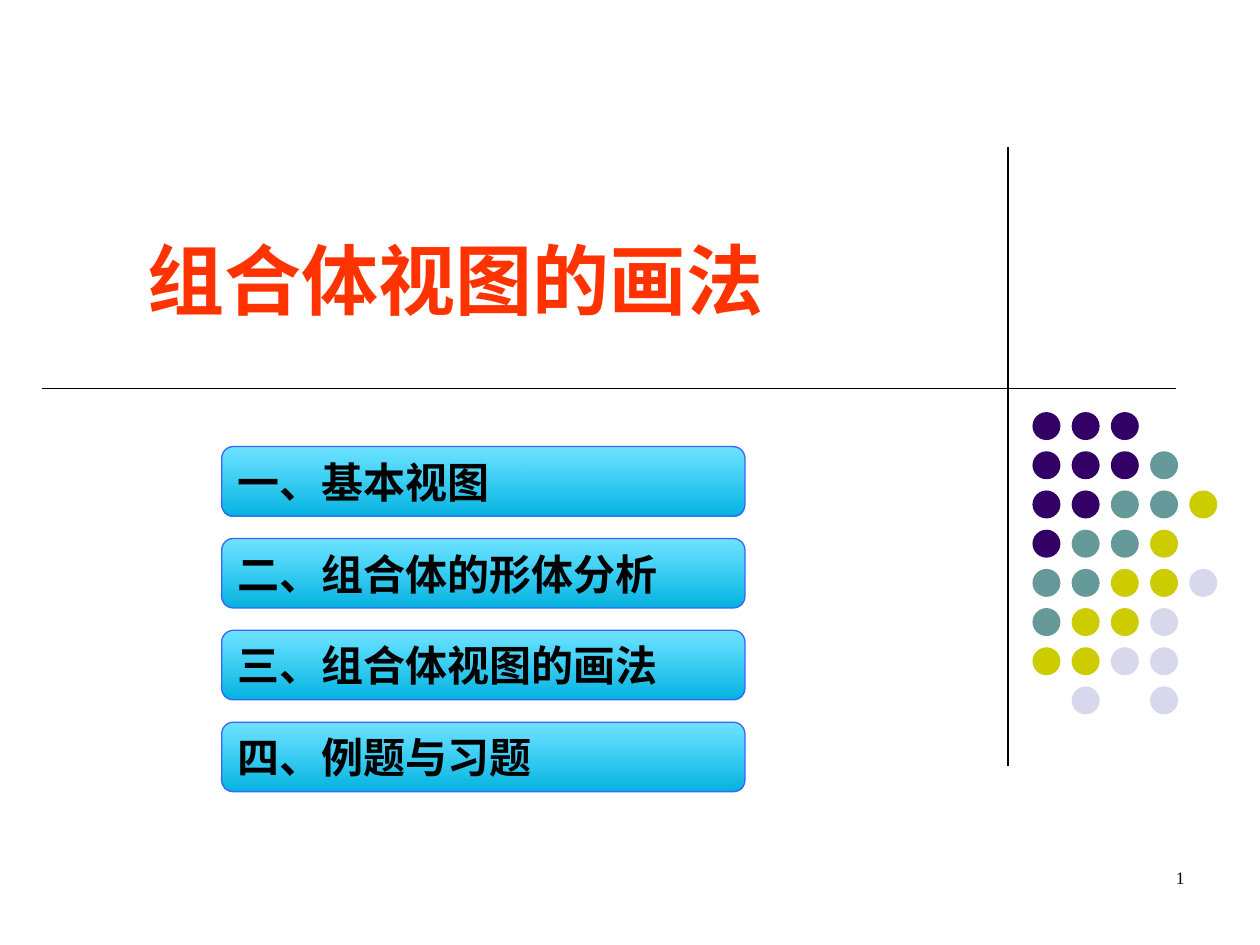
from dataclasses import dataclass

from lxml.etree import SubElement
from pptx import Presentation
from pptx.dml.color import RGBColor as Color
from pptx.enum.shapes import MSO_CONNECTOR as Connector, MSO_SHAPE as Shape
from pptx.enum.text import MSO_ANCHOR as Anchor, MSO_AUTO_SIZE as AutoSize, PP_ALIGN as Align
from pptx.oxml.ns import qn
from pptx.util import Pt


@dataclass(frozen=True)
class Theme:
    """Colours, fonts and type sizes of the deck."""
    ink: str = "000000"
    title: str = "FF3300"
    edge: str = "3366FF"
    bar_top: str = "00CCFF"
    bar_bottom: str = "00B2DF"
    bar_top_alpha: int = 56000
    dots: tuple = (("P", "330066"), ("T", "669999"), ("Y", "CCCC00"), ("L", "D8D8EC"))
    title_font: str = "Arial"
    bar_font: str = "Roboto"
    number_font: str = "Times New Roman"
    title_size: int = 44
    bar_size: int = 24
    number_size: int = 10


THEME = Theme()
TOPICS = ("一、基本视图", "二、组合体的形体分析", "三、组合体视图的画法", "四、例题与习题")
DOT_ROWS = ("PPP", "PPPT", "PPTTY", "PTTY", "TTYYL", "TYYL", "YYLL", " L L")


def style(para, name, size, color, bold=False):
    """Set the font of a whole paragraph."""
    font = para.font
    font.name, font.size, font.bold = name, Pt(size), bold
    font.color.rgb = Color.from_string(color)


def add_rule(page, start, end, width):
    """Draw a straight rule without a shadow."""
    rule = page.shapes.add_connector(Connector.STRAIGHT, *map(Pt, start + end))
    rule.line.color.rgb = Color.from_string(THEME.ink)
    rule.line.width = Pt(width)
    SubElement(rule.element.spPr, qn("a:effectLst"))


def add_dots(page, left, top, pitch, size):
    """Place the grid of coloured dots from its letter rows."""
    colors = dict(THEME.dots)
    group = page.shapes.add_group_shape()
    for row, letters in enumerate(DOT_ROWS):
        for column, letter in enumerate(letters):
            if letter in colors:
                dot = group.shapes.add_shape(
                    Shape.OVAL, Pt(left + column * pitch), Pt(top + row * pitch), Pt(size), Pt(size))
                dot.shadow.inherit = False
                dot.fill.solid()
                dot.fill.fore_color.rgb = Color.from_string(colors[letter])
                dot.line.fill.background()


def add_title(page, left, top, width, height):
    """Fill and place the title placeholder."""
    title = page.shapes.title
    title.left, title.top, title.width, title.height = map(Pt, (left, top, width, height))
    frame = title.text_frame
    frame.text = "组合体视图的画法"
    frame.auto_size = AutoSize.NONE
    frame.vertical_anchor = Anchor.TOP
    para = frame.paragraphs[0]
    para.alignment = Align.LEFT
    para.line_spacing = 0.9
    style(para, THEME.title_font, THEME.title_size, THEME.title, True)


def add_bar(page, text, left, top, width, height):
    """Draw one topic bar with a gradient fill."""
    bar = page.shapes.add_shape(Shape.ROUNDED_RECTANGLE, *map(Pt, (left, top, width, height)))
    bar.shadow.inherit = False
    bar.fill.gradient()
    bar.fill.gradient_angle = 270
    for stop, color in zip(bar.fill.gradient_stops, (THEME.bar_top, THEME.bar_bottom)):
        stop.color.rgb = Color.from_string(color)
    top_color = bar.element.spPr.find(".//" + qn("a:srgbClr"))
    SubElement(top_color, qn("a:alpha"), val=str(THEME.bar_top_alpha))
    bar.line.color.rgb = Color.from_string(THEME.edge)
    bar.line.width = Pt(0.75)
    frame = bar.text_frame
    frame.text = text
    frame.vertical_anchor = Anchor.MIDDLE
    para = frame.paragraphs[0]
    para.alignment = Align.LEFT
    style(para, THEME.bar_font, THEME.bar_size, THEME.ink, True)


def add_topics(page, left, top, width, height, pitch):
    """Stack the topic bars at an equal pitch."""
    for index, text in enumerate(TOPICS):
        add_bar(page, text, left, top + index * pitch, width, height)


def add_number(page, left, top, width, height):
    """Place the page number."""
    box = page.shapes.add_textbox(*map(Pt, (left, top, width, height)))
    frame = box.text_frame
    frame.word_wrap = True
    frame.text = "1"
    para = frame.paragraphs[0]
    para.alignment = Align.RIGHT
    style(para, THEME.number_font, THEME.number_size, THEME.ink)


def main():
    """Build and save the deck."""
    deck = Presentation()
    deck.slide_width, deck.slide_height = Pt(720), Pt(540)
    page = deck.slides.add_slide(deck.slide_layouts[5])
    add_rule(page, (576, 84), (576, 438), 0.75)
    add_dots(page, left=590, top=235.5, pitch=22.4, size=16)
    add_rule(page, (24, 222), (672, 222), 0.5)
    add_title(page, 77, 135.5, 417, 61)
    add_topics(page, left=126.7, top=255.2, width=299, height=39.7, pitch=52.5)
    add_number(page, 516, 492, 168, 36)
    deck.save("out.pptx")


if __name__ == "__main__":
    main()
